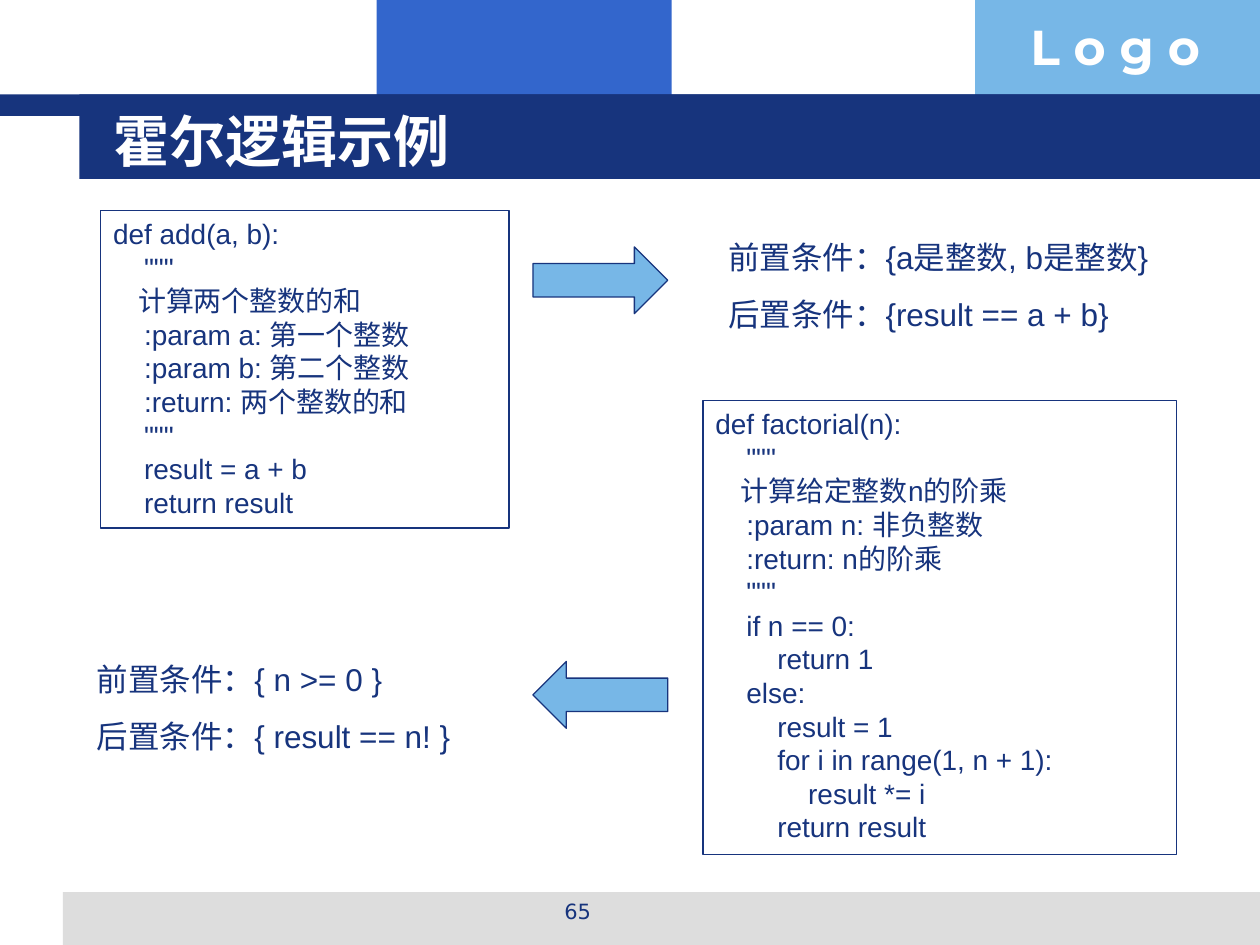
from pptx import Presentation
from pptx.dml.color import RGBColor
from pptx.enum.shapes import MSO_SHAPE as Shape
from pptx.enum.text import MSO_ANCHOR as Anchor, PP_ALIGN as Align
from pptx.util import Inches, Pt

NAVY, BLUE, SKY, GREY, WHITE = "17347D", "3366CC", "77B7E7", "DDDDDD", "FFFFFF"

BANDS = [
    (2.99, 0, 2.34, 0.92, BLUE),
    (7.74, 0, 2.26, 0.92, SKY),
    (0.5, 7.08, 9.5, 0.42, GREY),
    (0, 0.75, 10, 0.17, NAVY),
    (0.63, 0.75, 9.37, 0.67, NAVY),
]

ADD_CODE = '''def add(a, b):
    """
    计算两个整数的和
    :param a: 第一个整数
    :param b: 第二个整数
    :return: 两个整数的和
    """
    result = a + b
    return result'''

FACTORIAL_CODE = '''def factorial(n):
    """
    计算给定整数n的阶乘
    :param n: 非负整数
    :return: n的阶乘
    """
    if n == 0:
        return 1
    else:
        result = 1
        for i in range(1, n + 1):
            result *= i
        return result'''

ADD_CONDITIONS = "前置条件：{a是整数, b是整数}\n后置条件：{result == a + b}"
FACTORIAL_CONDITIONS = "前置条件：{ n >= 0 }\n后置条件：{ result == n! }"


def color(hex_string):
    return RGBColor.from_string(hex_string)


def write(shape, text, size, font="Arial", fill=NAVY, bold=False,
          align=Align.LEFT, spacing=None, anchor=Anchor.TOP):
    """Put one paragraph per line of text into the shape."""
    frame = shape.text_frame
    frame.word_wrap = True
    frame.vertical_anchor = anchor
    frame.text = text
    for paragraph in frame.paragraphs:
        paragraph.alignment = align
        paragraph.line_spacing = spacing
        paragraph.font.name = font
        paragraph.font.size = Pt(size)
        paragraph.font.bold = bold
        paragraph.font.color.rgb = color(fill)


def add_shape(slide, kind, left, top, width, height, fill=None, line=None):
    shape = slide.shapes.add_shape(
        kind, Inches(left), Inches(top), Inches(width), Inches(height))
    shape.shadow.inherit = False
    if fill:
        shape.fill.solid()
        shape.fill.fore_color.rgb = color(fill)
    else:
        shape.fill.background()
    if line:
        shape.line.color.rgb = color(line)
        shape.line.width = Pt(0.75)
    else:
        shape.line.fill.background()
    return shape


def add_text(slide, left, top, width, height, text, size, **style):
    box = slide.shapes.add_textbox(
        Inches(left), Inches(top), Inches(width), Inches(height))
    write(box, text, size, **style)


def add_code(slide, left, top, width, height, code):
    box = add_shape(slide, Shape.RECTANGLE, left, top, width, height, line=NAVY)
    write(box, code, 16)


def add_arrow(slide, kind, top):
    add_shape(slide, kind, 4.23, top, 1.07, 0.53, fill=SKY, line=NAVY)


def place_title(slide, text):
    """Fill the title and bring it in front of the bands."""
    title = slide.shapes.title
    title.left, title.top = Inches(0.8), Inches(0.8)
    title.width, title.height = Inches(9.11), Inches(0.62)
    write(title, text, 32, font="DejaVu Sans", fill=WHITE, bold=True,
          anchor=Anchor.MIDDLE)
    title.element.getparent().append(title.element)


def main():
    presentation = Presentation()
    presentation.slide_width, presentation.slide_height = Inches(10), Inches(7.5)
    slide = presentation.slides.add_slide(presentation.slide_layouts[5])

    for *place, fill in BANDS:
        add_shape(slide, Shape.RECTANGLE, *place, fill=fill)
    add_text(slide, 8.08, 0.08, 1.93, 0.57, "L o g o", 28,
             font="Montserrat", fill=WHITE, bold=True)
    add_text(slide, 3.42, 7.08, 2.33, 0.35, "65", 12,
             font="DejaVu Sans", align=Align.CENTER)
    place_title(slide, "霍尔逻辑示例")

    add_code(slide, 0.8, 1.67, 3.24, 2.52, ADD_CODE)
    add_arrow(slide, Shape.RIGHT_ARROW, 1.96)
    add_text(slide, 5.68, 1.69, 3.67, 0.95, ADD_CONDITIONS, 18, spacing=1.5)

    add_code(slide, 5.58, 3.18, 3.76, 3.6, FACTORIAL_CODE)
    add_arrow(slide, Shape.LEFT_ARROW, 5.25)
    add_text(slide, 0.67, 5.04, 3.38, 0.95, FACTORIAL_CONDITIONS, 18, spacing=1.5)

    presentation.save("out.pptx")


if __name__ == "__main__":
    main()
